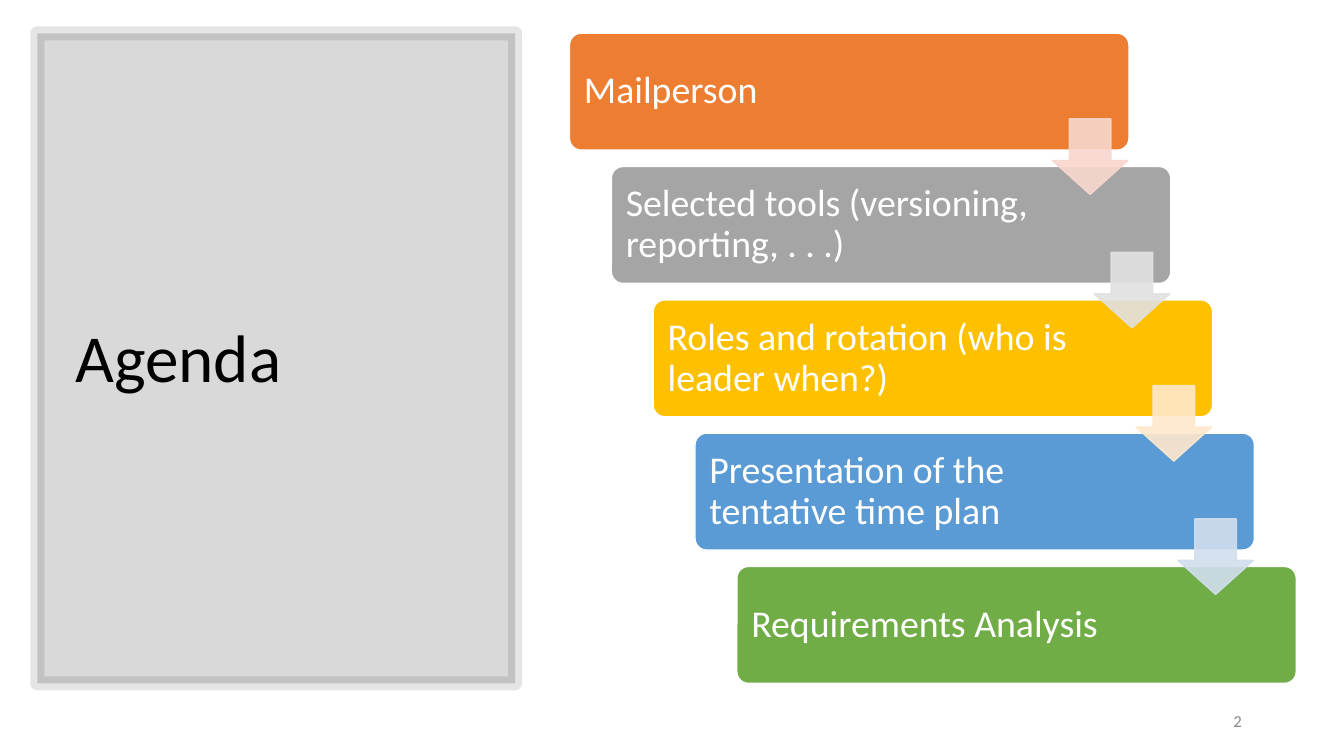
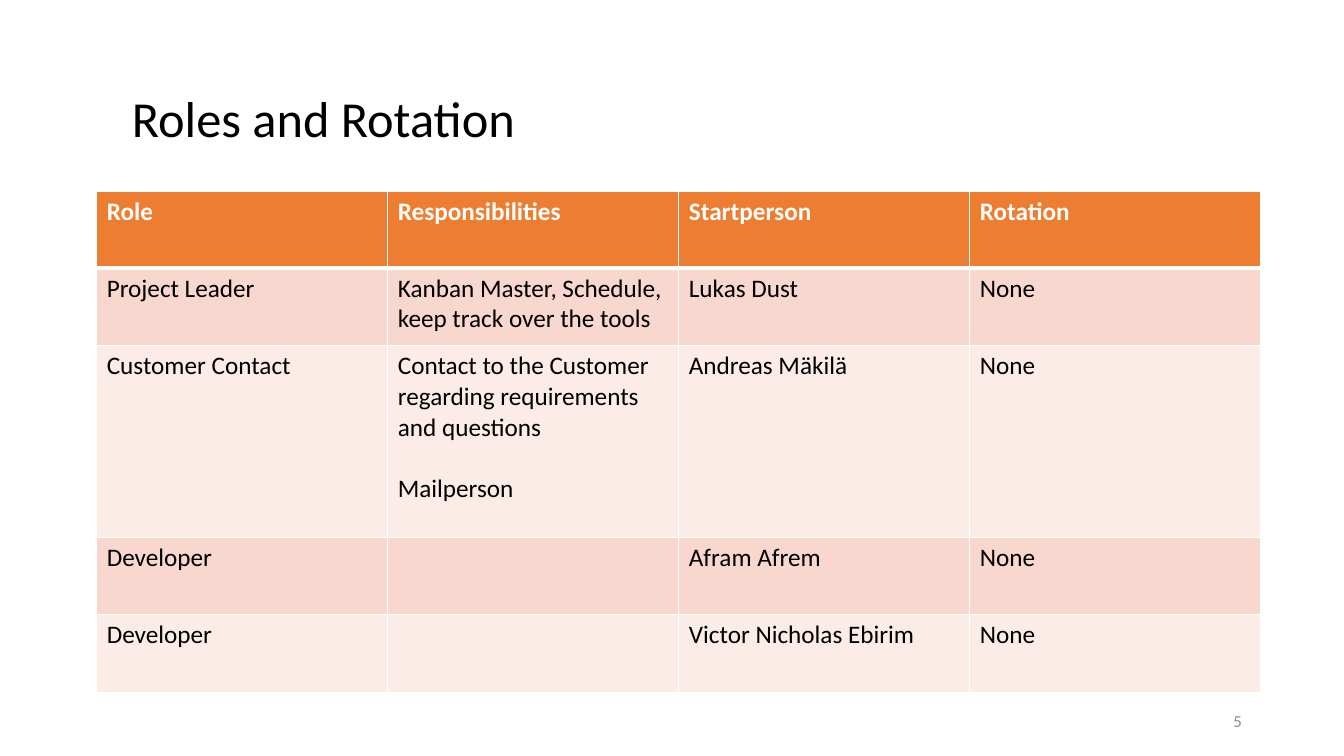
"""Build the agenda slide and the roles slide of a project presentation."""
import dataclasses
import typing

import lxml.etree
import pptx
import pptx.dml.color
import pptx.enum.shapes
import pptx.enum.text
import pptx.oxml.ns
import pptx.util

Pt = pptx.util.Pt
ShapeType = pptx.enum.shapes.MSO_SHAPE
Anchor = pptx.enum.text.MSO_ANCHOR
Align = pptx.enum.text.PP_ALIGN


@dataclasses.dataclass(frozen=True)
class Theme:
    """Colours, font and type sizes of the presentation."""
    font: str = "Calibri"
    dark: str = "000000"
    light: str = "FFFFFF"
    agenda_number: str = "898989"
    roles_number: str = "8C8C8C"
    header: str = "ED7D31"
    bands: tuple[str, str] = ("F8D7CE", "FCECE8")
    agenda_title_size: float = 48
    title_size: float = 36
    step_size: float = 27
    table_size: float = 18
    number_size: float = 12


class Box(typing.NamedTuple):
    """Left, top, width and height in points."""
    left: float
    top: float
    width: float
    height: float

    def lengths(self) -> list[pptx.util.Length]:
        """Return the four values as lengths."""
        return [Pt(value) for value in self]


class TextStyle(typing.NamedTuple):
    """Look of a run of text and its paragraph."""
    size: float
    color: str
    bold: bool = False
    alignment: typing.Any = Align.LEFT
    line_spacing: float = 1.0


class Step(typing.NamedTuple):
    """Agenda entry with its card colour and the colour of the arrow below."""
    label: str
    color: str
    arrow_color: str | None = None


class Role(typing.NamedTuple):
    """Row of the roles table."""
    role: str
    responsibilities: list[str]
    start_person: str
    rotation: str = "None"


THEME = Theme()
SLIDE_SIZE = (960, 540)
NUMBER_BOX = Box(678.24, 500.4, 216, 28.8)

AGENDA_PANEL = Box(26.64, 23.76, 341.28, 464.4)
AGENDA_TITLE = Box(46.8, 50.4, 299.52, 414)
FIRST_CARD = Box(406.8, 23.76, 399.6, 83.52)
STEP_RIGHT, STEP_DOWN = 29.88, 95.22
ARROW_RIGHT, ARROW_DOWN, ARROW_SIZE = 344.88, 61.2, 54
CARD_MARGINS = {"margin_left": Pt(7.92), "margin_right": Pt(92.3),
                "margin_top": Pt(7.92), "margin_bottom": Pt(7.92)}
STEPS = [
    Step("Mailperson", "ED7D31", "F8D7CE"),
    Step("Selected tools (versioning, reporting, . . .)", "A5A5A5", "E1E1E1"),
    Step("Roles and rotation (who is leader when?)", "FFC000", "FFE8CC"),
    Step("Presentation of the tentative time plan", "5B9BD5", "D2DEEF"),
    Step("Requirements Analysis", "70AD47"),
]

ROLES_TITLE = Box(87.12, 33.12, 786.24, 100.8)
ROLES_TABLE = Box(69.12, 136.8, 831.6, 357.84)
ROW_HEIGHTS = [54.72, 55.44, 136.8, 55.44, 55.44]
PARAGRAPH_GAP = 22
HEADINGS = ["Role", "Responsibilities", "Startperson", "Rotation"]
ROLES = [
    Role("Project Leader", ["Kanban Master, Schedule, keep track over the tools"],
         "Lukas Dust"),
    Role("Customer Contact",
         ["Contact to the Customer regarding requirements and questions",
          "Mailperson"], "Andreas Mäkilä"),
    Role("Developer", [], "Afram Afrem"),
    Role("Developer", [], "Victor Nicholas Ebirim"),
]


def rgb(color: str) -> pptx.dml.color.RGBColor:
    """Turn a hexadecimal string into a colour."""
    return pptx.dml.color.RGBColor.from_string(color)


def apply_format(target: typing.Any, values: dict[str, typing.Any]) -> None:
    """Set each named attribute of the target."""
    for name, value in values.items():
        setattr(target, name, value)


def write_text(frame: typing.Any, lines: list[str], style: TextStyle,
               gap: float = 0) -> None:
    """Write one paragraph per line, with a gap between paragraphs."""
    for index, line in enumerate(lines):
        paragraph = frame.add_paragraph() if index else frame.paragraphs[0]
        apply_format(paragraph, {"alignment": style.alignment,
                                 "line_spacing": style.line_spacing,
                                 "space_before": Pt(gap if index else 0)})
        run = paragraph.add_run()
        run.text = line
        apply_format(run.font, {"name": THEME.font, "size": Pt(style.size),
                                "bold": style.bold})
        run.font.color.rgb = rgb(style.color)


def add_text(slide: typing.Any, box: Box, text: str, style: TextStyle) -> None:
    """Add a wrapping, vertically centred text box."""
    frame = slide.shapes.add_textbox(*box.lengths()).text_frame
    apply_format(frame, {"word_wrap": True, "vertical_anchor": Anchor.MIDDLE})
    write_text(frame, [text], style)


def add_number(slide: typing.Any, number: int, color: str) -> None:
    """Add the slide number at the lower right."""
    add_text(slide, NUMBER_BOX, str(number),
             TextStyle(THEME.number_size, color, alignment=Align.RIGHT))


def add_filled_shape(slide: typing.Any, kind: typing.Any, box: Box, fill: str,
                     line: str, line_width: float = 1,
                     adjustments: tuple[float, ...] = (),
                     opacities: tuple[int, ...] = ()) -> typing.Any:
    """Add a preset shape; opacities are percentages for fill and line."""
    shape = slide.shapes.add_shape(kind, *box.lengths())
    shape.shadow.inherit = False
    shape.fill.solid()
    shape.fill.fore_color.rgb = rgb(fill)
    shape.line.color.rgb = rgb(line)
    shape.line.width = Pt(line_width)
    for index, value in enumerate(adjustments):
        shape.adjustments[index] = value
    qualified = pptx.oxml.ns.qn
    colors = list(shape.element.spPr.iter(qualified("a:srgbClr")))
    for color, opacity in zip(colors, opacities):
        lxml.etree.SubElement(color, qualified("a:alpha"), val=str(opacity * 1000))
    return shape


def add_card(slide: typing.Any, box: Box, step: Step) -> None:
    """Add one agenda card with its label."""
    card = add_filled_shape(slide, ShapeType.ROUNDED_RECTANGLE, box, step.color,
                            THEME.light, adjustments=(0.1,))
    apply_format(card.text_frame, {"word_wrap": True,
                                   "vertical_anchor": Anchor.MIDDLE,
                                   **CARD_MARGINS})
    write_text(card.text_frame, [step.label],
               TextStyle(THEME.step_size, THEME.light, line_spacing=0.9))


def add_agenda_slide(presentation: typing.Any) -> None:
    """Build the agenda with its staircase of cards and arrows."""
    slide = presentation.slides.add_slide(presentation.slide_layouts[6])
    add_filled_shape(slide, ShapeType.RECTANGLE, AGENDA_PANEL, THEME.dark,
                     THEME.dark, line_width=10, opacities=(15, 10))
    add_text(slide, AGENDA_TITLE, "Agenda",
             TextStyle(THEME.agenda_title_size, THEME.dark, line_spacing=0.9))
    add_number(slide, 2, THEME.agenda_number)
    boxes = [FIRST_CARD._replace(left=FIRST_CARD.left + index * STEP_RIGHT,
                                 top=FIRST_CARD.top + index * STEP_DOWN)
             for index in range(len(STEPS))]
    for box, step in zip(boxes, STEPS):
        add_card(slide, box, step)
    for box, step in zip(boxes, STEPS):
        if step.arrow_color:
            arrow_box = Box(box.left + ARROW_RIGHT, box.top + ARROW_DOWN,
                            ARROW_SIZE, ARROW_SIZE)
            add_filled_shape(slide, ShapeType.DOWN_ARROW, arrow_box,
                             step.arrow_color, step.arrow_color,
                             adjustments=(0.55, 0.45), opacities=(90, 90))


def set_borders(cell: typing.Any, widths: dict[str, float]) -> None:
    """Draw light cell borders, with widths by side in the order L, R, T, B."""
    qualified = pptx.oxml.ns.qn
    properties = cell._tc.get_or_add_tcPr()
    for side, width in widths.items():
        line = lxml.etree.SubElement(properties, qualified(f"a:ln{side}"),
                                     w=str(int(Pt(width))))
        fill = lxml.etree.SubElement(line, qualified("a:solidFill"))
        lxml.etree.SubElement(fill, qualified("a:srgbClr"), val=THEME.light)


def add_roles_table(slide: typing.Any) -> None:
    """Add the roles table with a header and alternating bands."""
    rows = [[[heading] for heading in HEADINGS]]
    rows += [[[role.role], role.responsibilities, [role.start_person],
              [role.rotation]] for role in ROLES]
    table = slide.shapes.add_table(len(rows), len(HEADINGS),
                                   *ROLES_TABLE.lengths()).table
    for column in table.columns:
        column.width = Pt(ROLES_TABLE.width / len(HEADINGS))
    for row_index, (row, height) in enumerate(zip(rows, ROW_HEIGHTS)):
        table.rows[row_index].height = Pt(height)
        is_header = row_index == 0
        fill = THEME.header if is_header else THEME.bands[(row_index - 1) % 2]
        style = TextStyle(THEME.table_size,
                          THEME.light if is_header else THEME.dark, is_header)
        widths = {"L": 1, "R": 1, "T": 3 if row_index == 1 else 1,
                  "B": 3 if is_header else 1}
        for column_index, lines in enumerate(row):
            cell = table.cell(row_index, column_index)
            set_borders(cell, widths)
            cell.fill.solid()
            cell.fill.fore_color.rgb = rgb(fill)
            write_text(cell.text_frame, lines, style, PARAGRAPH_GAP)


def add_roles_slide(presentation: typing.Any) -> None:
    """Build the slide with the roles table."""
    slide = presentation.slides.add_slide(presentation.slide_layouts[6])
    add_number(slide, 5, THEME.roles_number)
    add_text(slide, ROLES_TITLE, "Roles and Rotation",
             TextStyle(THEME.title_size, THEME.dark))
    add_roles_table(slide)


def main() -> None:
    """Build and save the presentation."""
    presentation = pptx.Presentation()
    width, height = SLIDE_SIZE
    apply_format(presentation, {"slide_width": Pt(width),
                                "slide_height": Pt(height)})
    add_agenda_slide(presentation)
    add_roles_slide(presentation)
    presentation.save("out.pptx")


main()
